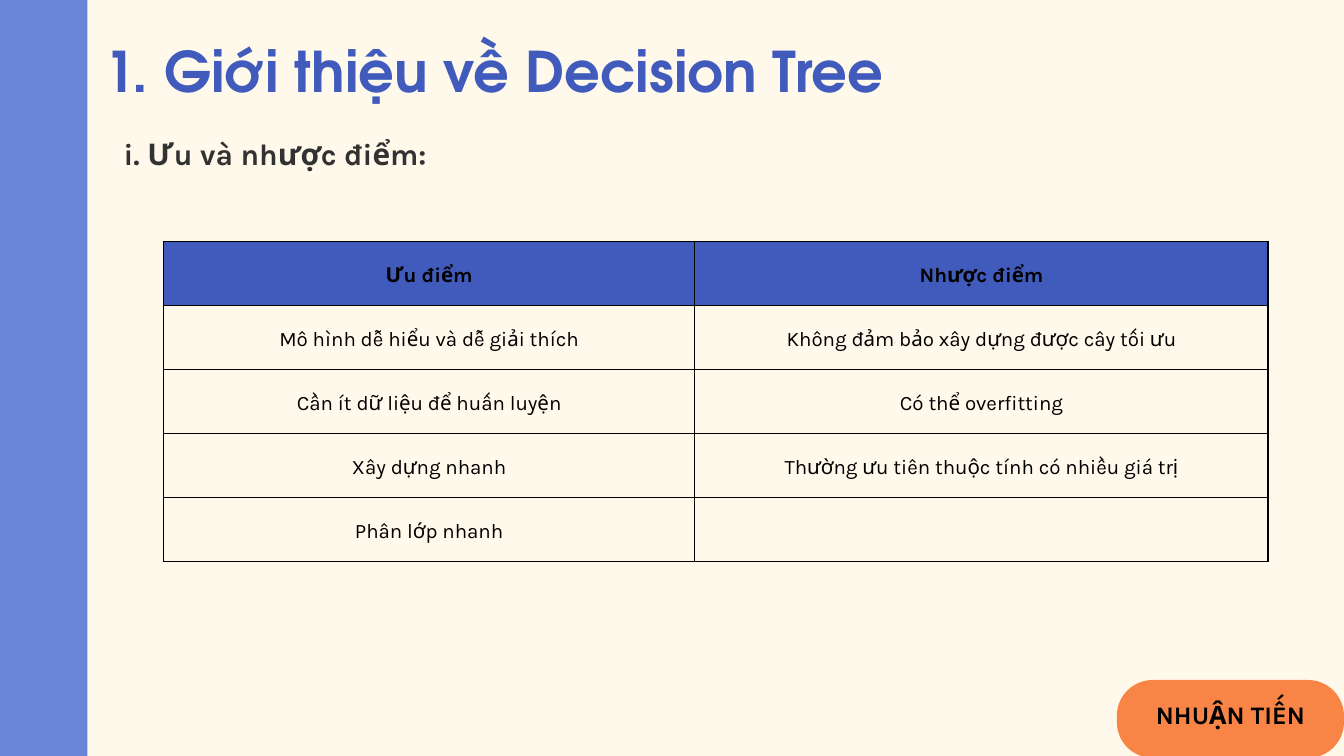
from lxml import etree
from pptx import Presentation
from pptx.dml.color import RGBColor
from pptx.enum.shapes import MSO_SHAPE
from pptx.enum.text import MSO_ANCHOR, PP_ALIGN
from pptx.oxml.ns import qn
from pptx.util import Pt

RECTANGLE = MSO_SHAPE.RECTANGLE
ROUNDED = MSO_SHAPE.ROUNDED_RECTANGLE
LEFT, CENTER = PP_ALIGN.LEFT, PP_ALIGN.CENTER
TOP, MIDDLE = MSO_ANCHOR.TOP, MSO_ANCHOR.MIDDLE

CREAM, BLUE, LIGHT_BLUE = "FFF9EC", "405BBC", "6985D6"
ORANGE, BLACK, GRAY = "F88545", "000000", "323232"

TITLE = {"name": "TeX Gyre Adventor", "size": Pt(60), "bold": True}
SUBTITLE = {"name": "Karla", "size": Pt(32), "bold": True}
BADGE = {"name": "Karla", "size": Pt(27), "bold": True}
HEADER = {"name": "Karla", "size": Pt(22), "bold": True}
BODY = {**HEADER, "bold": False}

COLUMN_WIDTHS = (569.5, 614.2)
ROW_HEIGHT = 68.55
ROWS = [
    ("Ưu điểm", "Nhược điểm"),
    ("Mô hình dễ hiểu và dễ giải thích", "Không đảm bảo xây dựng được cây tối ưu"),
    ("Cần ít dữ liệu để huấn luyện", "Có thể overfitting"),
    ("Xây dựng nhanh", "Thường ưu tiên thuộc tính có nhiều giá trị"),
    ("Phân lớp nhanh", ""),
]


def paint(fill, color):
    fill.solid()
    fill.fore_color.rgb = RGBColor.from_string(color)


def set_margins(target, margin):
    for side in ("left", "right", "top", "bottom"):
        setattr(target, f"margin_{side}", Pt(margin))


def write(text_frame, text, style, color, spacing, align):
    paragraph = text_frame.paragraphs[0]
    paragraph.alignment = align
    paragraph.line_spacing = Pt(spacing)
    run = paragraph.add_run()
    run.text = text
    for name, value in style.items():
        setattr(run.font, name, value)
    run.font.color.rgb = RGBColor.from_string(color)


def add_block(slide, kind, box, color):
    shape = slide.shapes.add_shape(kind, *map(Pt, box))
    shape.shadow.inherit = False
    paint(shape.fill, color)
    shape.line.fill.background()
    return shape


def add_text(slide, box, text, style, color, spacing, align=LEFT, anchor=TOP, margin=0):
    text_frame = slide.shapes.add_textbox(*map(Pt, box)).text_frame
    text_frame.word_wrap = True
    text_frame.vertical_anchor = anchor
    set_margins(text_frame, margin)
    write(text_frame, text, style, color, spacing, align)


def add_borders(cell, color, width):
    properties = cell._tc.get_or_add_tcPr()
    for side in ("lnL", "lnR", "lnT", "lnB"):
        line = etree.SubElement(properties, qn(f"a:{side}"), w=str(Pt(width)))
        fill = etree.SubElement(line, qn("a:solidFill"))
        etree.SubElement(fill, qn("a:srgbClr"), val=color)


def add_comparison_table(slide, left, top):
    table = slide.shapes.add_table(
        len(ROWS), len(COLUMN_WIDTHS), Pt(left), Pt(top),
        Pt(sum(COLUMN_WIDTHS)), Pt(ROW_HEIGHT * len(ROWS)),
    ).table
    for column, width in zip(table.columns, COLUMN_WIDTHS):
        column.width = Pt(width)
    for row_index, texts in enumerate(ROWS):
        table.rows[row_index].height = Pt(ROW_HEIGHT)
        is_header = row_index == 0
        for column_index, text in enumerate(texts):
            cell = table.cell(row_index, column_index)
            add_borders(cell, BLACK, 1.5)
            set_margins(cell, 15)
            cell.vertical_anchor = MIDDLE
            if is_header:
                paint(cell.fill, BLUE)
            else:
                cell.fill.background()
            if text:
                style = HEADER if is_header else BODY
                write(cell.text_frame, text, style, BLACK, 30.8, CENTER)


def main():
    presentation = Presentation()
    presentation.slide_width, presentation.slide_height = Pt(1440), Pt(810)
    slide = presentation.slides.add_slide(presentation.slide_layouts[6])
    paint(slide.background.fill, CREAM)

    add_block(slide, RECTANGLE, (0, 0, 93.6, 810), LIGHT_BLUE)
    add_comparison_table(slide, 175, 259)
    add_text(slide, (111.6, 39.6, 969, 73.4), "1. Giới thiệu về Decision Tree",
             TITLE, BLUE, 72)
    add_text(slide, (132.5, 142.5, 529, 41), "i. Ưu và nhược điểm:",
             SUBTITLE, GRAY, 41.6)
    badge = add_block(slide, ROUNDED, (1196.6, 728.6, 243.4, 83.5), ORANGE)
    badge.adjustments[0] = 0.46
    add_text(slide, (1196.6, 712, 243.4, 100.8), "NHUẬN TIẾN",
             BADGE, BLACK, 37.8, CENTER, MIDDLE, 4)

    presentation.save("out.pptx")


if __name__ == "__main__":
    main()
